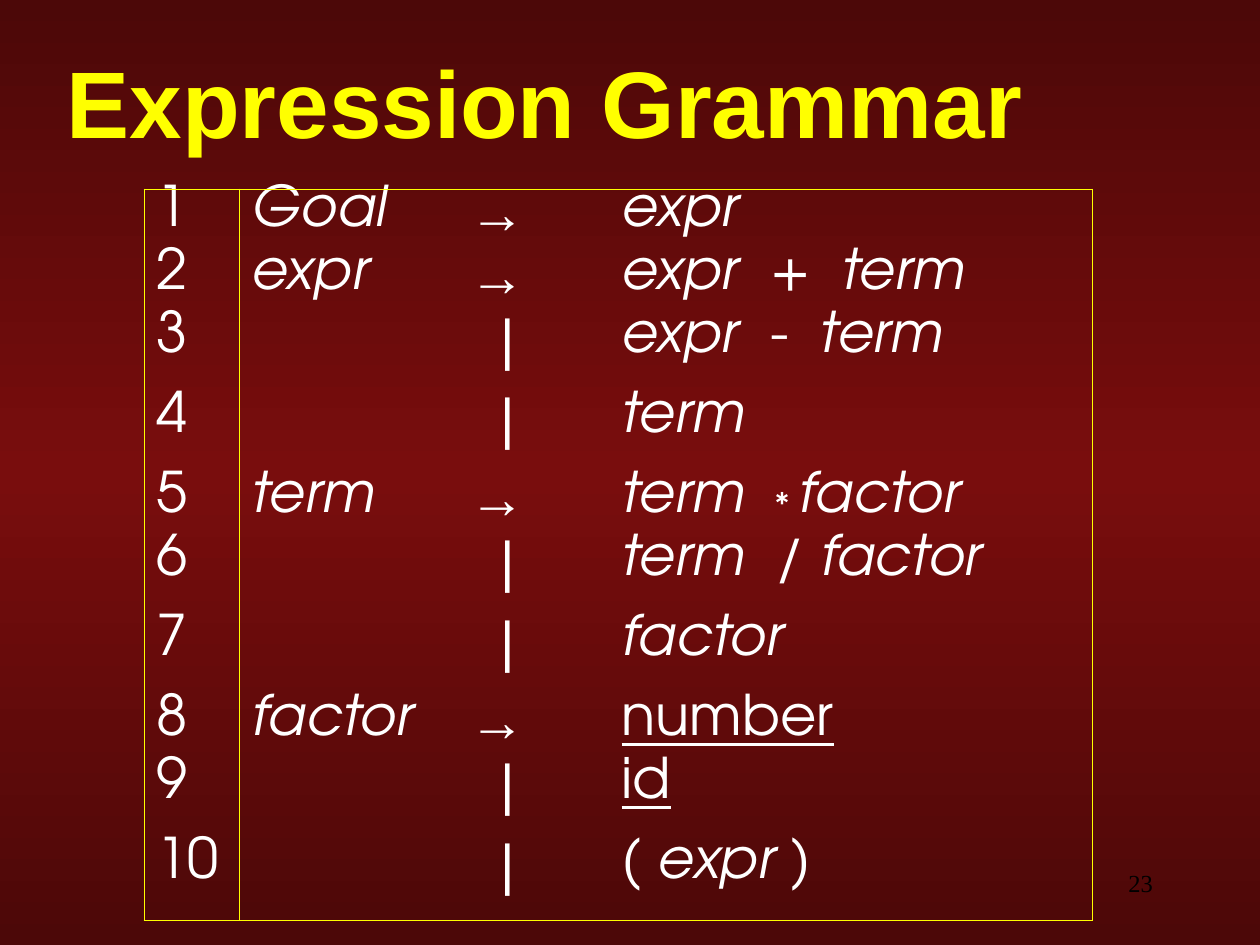
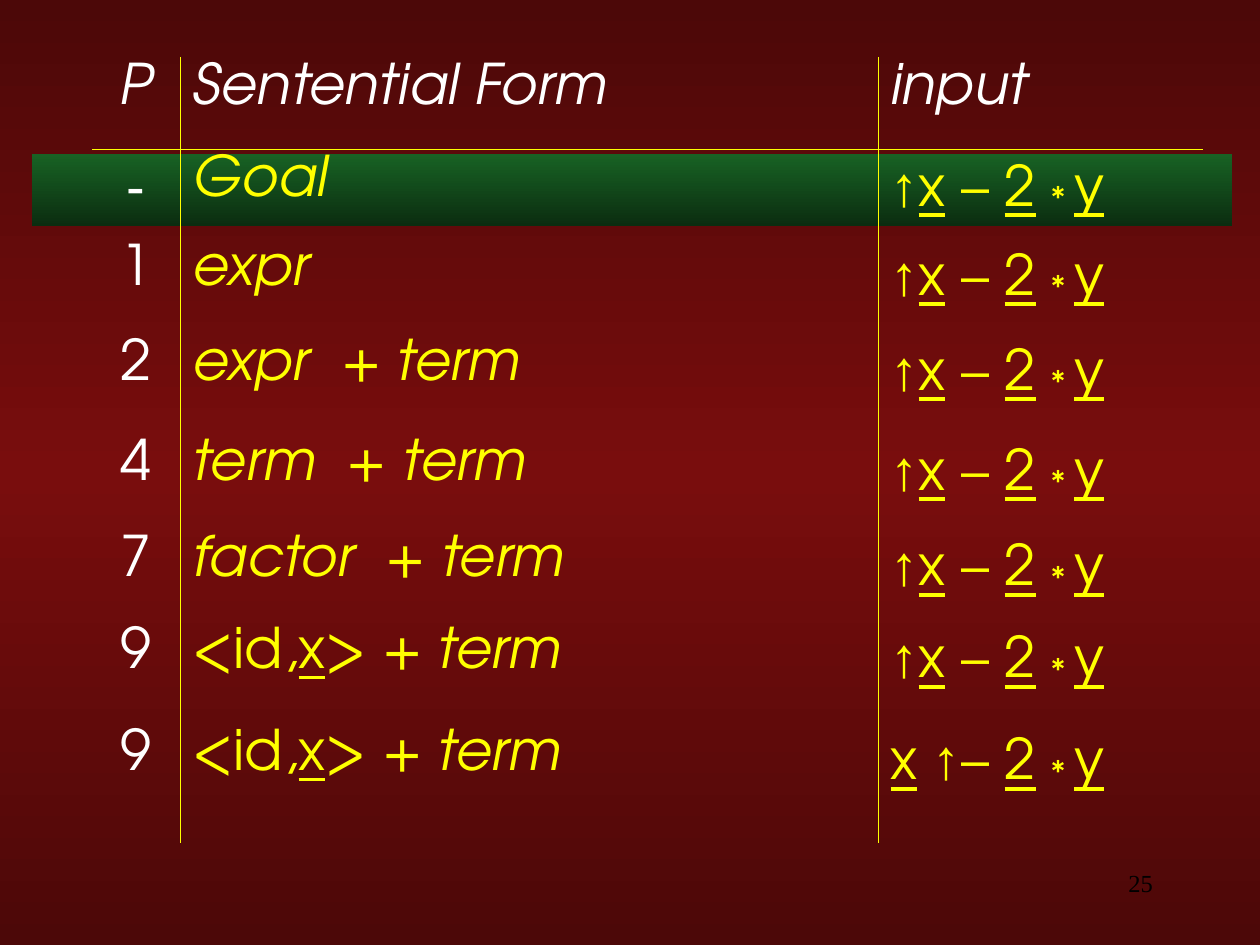
import copy
from dataclasses import dataclass
from typing import NamedTuple

import pptx
import pptx.dml.color
import pptx.enum.shapes
import pptx.enum.text
import pptx.oxml
import pptx.oxml.ns
import pptx.util

RGB = pptx.dml.color.RGBColor
ALIGN = pptx.enum.text.PP_ALIGN
MIDDLE = pptx.enum.text.MSO_ANCHOR.MIDDLE

# Shared look
YELLOW = RGB(0xFF, 0xFF, 0x00)
WHITE = RGB(0xFF, 0xFF, 0xFF)
BLACK = RGB(0x00, 0x00, 0x00)
MAROON = RGB(0x4C, 0x08, 0x08)
RED = RGB(0x79, 0x0D, 0x0D)
GREEN = RGB(0x18, 0x62, 0x24)
DARK_GREEN = RGB(0x0B, 0x2D, 0x10)
BODY_FONT = "TeX Gyre Adventor"
PLAIN_FONT = "Arial"
PX = 914400 / 126
A_NS = pptx.oxml.ns.nsdecls("a")

# Run styles: font settings, and run attributes that need XML
FONTS = {
    "up": {},
    "it": {"italic": True},
    "un": {"underline": True},
    "arrow": {"name": PLAIN_FONT, "bold": True},
    "plain": {"name": PLAIN_FONT},
}
RUN_XML = {"low": {"baseline": "-8000"}, "gap": {"spc": "890"}}


class Run(NamedTuple):
    text: str
    style: str = "up"


@dataclass
class Cell:
    runs: list[Run]
    color: RGB = WHITE
    align: ALIGN = ALIGN.LEFT
    line_spacing: float = 1.0
    indent: int = 0


@dataclass
class Grid:
    left: int
    top: int
    cols: list[int]
    rows: list[int]
    cells: list[list[Cell]]
    v_lines: set[int]
    h_lines: set[int]


def px(n: int) -> int:
    return round(n * PX)


def box(left: int, top: int, width: int, height: int) -> list[int]:
    return [px(n) for n in (left, top, width, height)]


def set_font(font, color: RGB, **values) -> None:
    for name, value in values.items():
        setattr(font, name, value)
    font.color.rgb = color


def fill_gradient(fill, *colors: RGB) -> None:
    """Vertical gradient with evenly spaced colours."""
    fill.gradient()
    fill.gradient_angle = 270
    last = fill.gradient_stops[-1]._gs
    for _ in colors[2:]:
        last.addnext(copy.deepcopy(last))
    for i, (stop, color) in enumerate(zip(fill.gradient_stops, colors)):
        stop.color.rgb = color
        stop.position = i / (len(colors) - 1)


def write_cell(cell, content: Cell) -> None:
    p = cell.text_frame.paragraphs[0]
    p.alignment = content.align
    p.line_spacing = content.line_spacing
    if content.indent:
        p._p.get_or_add_pPr().set("marL", str(px(content.indent)))
    for run in content.runs:
        r = p.add_run()
        r.text = run.text
        values = {"name": BODY_FONT, "size": pptx.util.Pt(32)}
        set_font(r.font, content.color, **values | FONTS.get(run.style, {}))
        for name, value in RUN_XML.get(run.style, {}).items():
            r._r.get_or_add_rPr().set(name, value)


def set_borders(cell, shown: dict[str, bool]) -> None:
    """Draw the named sides in yellow and clear the others."""
    tcPr = cell._tc.get_or_add_tcPr()
    for i, (side, visible) in enumerate(shown.items()):
        fill = (f'<a:solidFill><a:srgbClr val="{YELLOW}"/></a:solidFill>'
                if visible else "<a:noFill/>")
        tcPr.insert(i, pptx.oxml.parse_xml(
            f'<a:ln{side} {A_NS} w="5715">{fill}</a:ln{side}>'))


def draw_grid(slide, grid: Grid) -> None:
    n_rows, n_cols = len(grid.rows), len(grid.cols)
    frame = slide.shapes.add_table(
        n_rows, n_cols,
        *box(grid.left, grid.top, sum(grid.cols), sum(grid.rows)))
    table = frame.table
    table.first_row = table.horz_banding = False
    for col, width in zip(table.columns, grid.cols):
        col.width = px(width)
    for row, height in zip(table.rows, grid.rows):
        row.height = px(height)
    for i, cells in enumerate(grid.cells):
        for j, content in enumerate(cells):
            cell = table.cell(i, j)
            cell.fill.background()
            write_cell(cell, content)
            set_borders(cell, {
                "L": j in grid.v_lines, "R": j + 1 in grid.v_lines,
                "T": i in grid.h_lines, "B": i + 1 in grid.h_lines})


def add_title(slide, text: str) -> None:
    sp = slide.shapes.title
    sp.left, sp.top, sp.width, sp.height = box(54, 48, 1260, 105)
    tf = sp.text_frame
    tf.vertical_anchor = MIDDLE
    tf.auto_size = pptx.enum.text.MSO_AUTO_SIZE.NONE
    p = tf.paragraphs[0]
    p.alignment = ALIGN.LEFT
    r = p.add_run()
    r.text = text
    set_font(r.font, YELLOW, name=PLAIN_FONT, size=pptx.util.Pt(54), bold=True)
    r.font._element.find(pptx.oxml.ns.qn("a:solidFill")).addnext(
        pptx.oxml.parse_xml(
            f'<a:effectLst {A_NS}><a:outerShdw dist="17961" dir="2700000">'
            f'<a:srgbClr val="{WHITE}"/></a:outerShdw></a:effectLst>'))


def add_page_number(slide, number: int) -> None:
    tf = slide.shapes.add_textbox(*box(1027, 868, 126, 30)).text_frame
    for name in ("margin_left", "margin_top", "margin_right", "margin_bottom"):
        setattr(tf, name, 0)
    tf.word_wrap = True
    tf.vertical_anchor = MIDDLE
    p = tf.paragraphs[0]
    p.alignment = ALIGN.RIGHT
    r = p.add_run()
    r.text = str(number)
    set_font(r.font, BLACK, name="Times New Roman", size=pptx.util.Pt(14))


# Grammar words
GAP = Run(" ", "gap")
TIMES = Run("* ", "low")
EXPR, TERM, FACTOR = (Run(s, "it") for s in ("expr", "term", "factor"))

# Left side of each rule (empty for an alternative) and its right side
PRODUCTIONS = [
    ("Goal", [EXPR]),
    ("expr", [EXPR, GAP, Run("+"), GAP, TERM]),
    ("", [EXPR, GAP, Run("-"), GAP, TERM]),
    ("", [TERM]),
    ("term", [TERM, GAP, TIMES, FACTOR]),
    ("", [TERM, GAP, Run("∕ "), FACTOR]),
    ("", [FACTOR]),
    ("factor", [Run("number", "un")]),
    ("", [Run("id", "un")]),
    ("", [Run("( "), EXPR, Run(" )")]),
]

# Input with the read position before or after x
UP = Run("↑", "arrow")
X = Run("x", "un")
REST = [Run("2", "un"), Run(" "), TIMES, Run("y", "un")]
AT_START = [UP, X, Run(" – "), *REST]
AFTER_X = [X, Run(" "), UP, Run("– "), *REST]

# Production used, sentential form, input
ID_TERM = [Run("<id,"), X, Run("> + "), TERM]
DERIVATION = [
    (Run("-", "plain"), [Run("Goal", "it")], AT_START),
    (Run("1"), [EXPR], AT_START),
    (Run("2"), [EXPR, GAP, Run("+ "), TERM], AT_START),
    (Run("4"), [TERM, GAP, Run("+ "), TERM], AT_START),
    (Run("7"), [FACTOR, GAP, Run("+ "), TERM], AT_START),
    (Run("9"), ID_TERM, AT_START),
    (Run("9"), ID_TERM, AFTER_X),
]


def production_row(number: int, head: str, body: list[Run]) -> list[Cell]:
    sign = Run("→", "arrow") if head else Run("|", "plain")
    row = [Cell([Run(str(number))]), Cell([Run(head, "it")] if head else []),
           Cell([sign], indent=0 if head else 31), Cell(body)]
    for cell in row:
        cell.line_spacing = 0.75
    return row


def grammar_slide(prs) -> None:
    slide = prs.slides.add_slide(prs.slide_layouts[5])
    add_title(slide, "Expression Grammar")
    draw_grid(slide, Grid(
        144, 189, [95, 218, 152, 483],
        [63 if head else 80 for head, _ in PRODUCTIONS],
        [production_row(i, *rule) for i, rule in enumerate(PRODUCTIONS, 1)],
        v_lines={0, 1, 4}, h_lines={0, len(PRODUCTIONS)}))
    add_page_number(slide, 23)


def derivation_slide(prs) -> None:
    slide = prs.slides.add_slide(prs.slide_layouts[6])
    # Band behind the current step
    sp = slide.shapes.add_shape(
        pptx.enum.shapes.MSO_SHAPE.RECTANGLE, *box(32, 154, 1200, 72))
    sp.shadow.inherit = False
    sp.line.fill.background()
    fill_gradient(sp.fill, GREEN, DARK_GREEN)
    # Steps under a header row
    header = [Cell([Run(s, "it")]) for s in ("P", "Sentential Form", "input")]
    steps = [[Cell([used]), Cell(form, YELLOW), Cell(rest, YELLOW)]
             for used, form, rest in DERIVATION]
    cells = [header, *steps]
    for row in cells:
        row[0].align = ALIGN.CENTER
    draw_grid(slide, Grid(
        92, 57, [88, 698, 325], [92, 89, 95, 100, 96, 92, 102, 120],
        cells, v_lines={1, 2}, h_lines={1}))
    add_page_number(slide, 25)


def main() -> None:
    prs = pptx.Presentation()
    prs.slide_width, prs.slide_height = px(1260), px(945)
    fill_gradient(prs.slide_master.background.fill, MAROON, RED, MAROON)
    grammar_slide(prs)
    derivation_slide(prs)
    prs.save("out.pptx")


if __name__ == "__main__":
    main()
